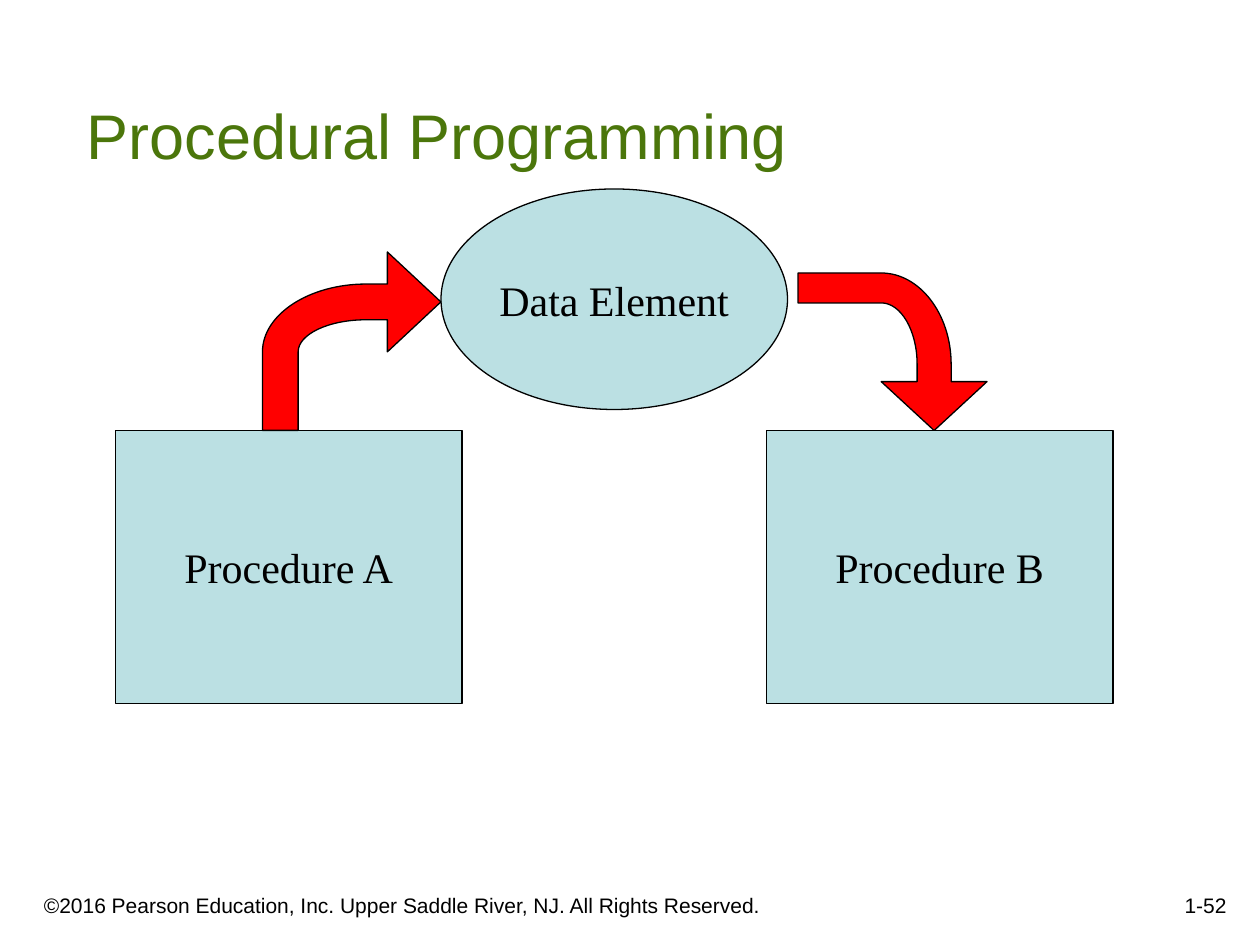
import pptx
import pptx.dml.color
import pptx.enum.shapes
import pptx.enum.text
import pptx.oxml.ns
import pptx.util

COLUMNS, ROWS = 120, 90
UNIT = pptx.util.Inches(10) // COLUMNS
ALIGN = pptx.enum.text.PP_ALIGN
ANCHOR = pptx.enum.text.MSO_ANCHOR
SHAPE = pptx.enum.shapes.MSO_SHAPE


def paint(shape, color):
    """Give a shape a flat fill and a thin black outline."""
    shape.shadow.inherit = False
    shape.fill.solid()
    shape.fill.fore_color.rgb = pptx.dml.color.RGBColor.from_string(color)
    shape.line.color.rgb = pptx.dml.color.RGBColor.from_string("000000")
    shape.line.width = pptx.util.Pt(0.75)


def write(shape, text, font, size, color, align, anchor, wrap):
    frame = shape.text_frame
    frame.text = text
    frame.word_wrap = wrap
    frame.vertical_anchor = anchor
    paragraph = frame.paragraphs[0]
    paragraph.alignment = align
    span = paragraph.runs[0]
    span.font.name = font
    span.font.size = pptx.util.Pt(size)
    span.font.color.rgb = pptx.dml.color.RGBColor.from_string(color)


deck = pptx.Presentation()
deck.slide_width = COLUMNS * UNIT
deck.slide_height = ROWS * UNIT
page = deck.slides.add_slide(deck.slide_layouts[6])

# Title, copyright line and page number: column, row, columns wide, rows high
labels = [
    ("©2016 Pearson Education, Inc. Upper Saddle River, NJ. All Rights Reserved.",
     (3, 83, 73, 5), 12, "000000", ALIGN.LEFT),
    ("1-52", (93, 82, 25, 6), 12, "000000", ALIGN.RIGHT),
    ("Procedural Programming", (7.1, 4, 112.9, 13), 36, "4B760B", ALIGN.LEFT),
]
for text, place, size, color, align in labels:
    box = page.shapes.add_textbox(*(round(UNIT * step) for step in place))
    write(box, text, "Arial", size, color, align, ANCHOR.BOTTOM, True)

# Procedures and the data they share
nodes = [
    ("Procedure A", SHAPE.RECTANGLE, (11, 41, 33, 26)),
    ("Data Element", SHAPE.OVAL, (42, 18, 33, 21)),
    ("Procedure B", SHAPE.RECTANGLE, (73, 41, 33, 26)),
]
for text, kind, place in nodes:
    node = page.shapes.add_shape(kind, *(UNIT * step for step in place))
    paint(node, "BBE0E3")
    write(node, text, "Times New Roman", 24, "000000", ALIGN.CENTER, ANCHOR.MIDDLE, False)

# Bent arrows: place, rotation, then shares of the arrow's own width (neck, stem)
# and height (upper and lower edge of the shaft)
arrows = [
    ((25, 24, 17, 17), 0, 0.7, 0.2, 0.18, 0.38),
    ((77.5, 24.5, 15, 18), 90, 0.69, 0.19, 0.19, 0.37),
]
bend_x, bend_y, tip = 0.58, 0.56, 0.28
pull = 0.45  # distance of a curve's handles from the corner of its quarter ellipse
for (left, top, width, height), rotation, neck, stem, upper, lower in arrows:
    outline = [
        (1, tip), (neck, 0), (neck, upper), (bend_x, upper),
        (bend_x * pull, upper), (0, upper + (bend_y - upper) * pull), (0, bend_y),
        (0, 1), (stem, 1), (stem, bend_y),
        (stem, lower + (bend_y - lower) * pull), (stem + (bend_x - stem) * pull, lower),
        (bend_x, lower), (neck, lower), (neck, bend_y),
    ]
    corners = [(round(UNIT * (left + x * width)), round(UNIT * (top + y * height)))
               for x, y in outline]
    builder = page.shapes.build_freeform(*corners[0])
    builder.add_line_segments(corners[1:], close=True)
    arrow = builder.convert_to_shape()
    arrow.rotation = rotation
    paint(arrow, "FF0000")

    # Join the two handles and the end point of each bend into one curve
    lines = list(arrow.element.iter(pptx.oxml.ns.qn("a:lnTo")))
    for first in (3, 9):
        curve = lines[first].makeelement(pptx.oxml.ns.qn("a:cubicBezTo"))
        lines[first].addprevious(curve)
        for line in lines[first:first + 3]:
            curve.append(line[0])
            line.getparent().remove(line)

deck.save("out.pptx")
